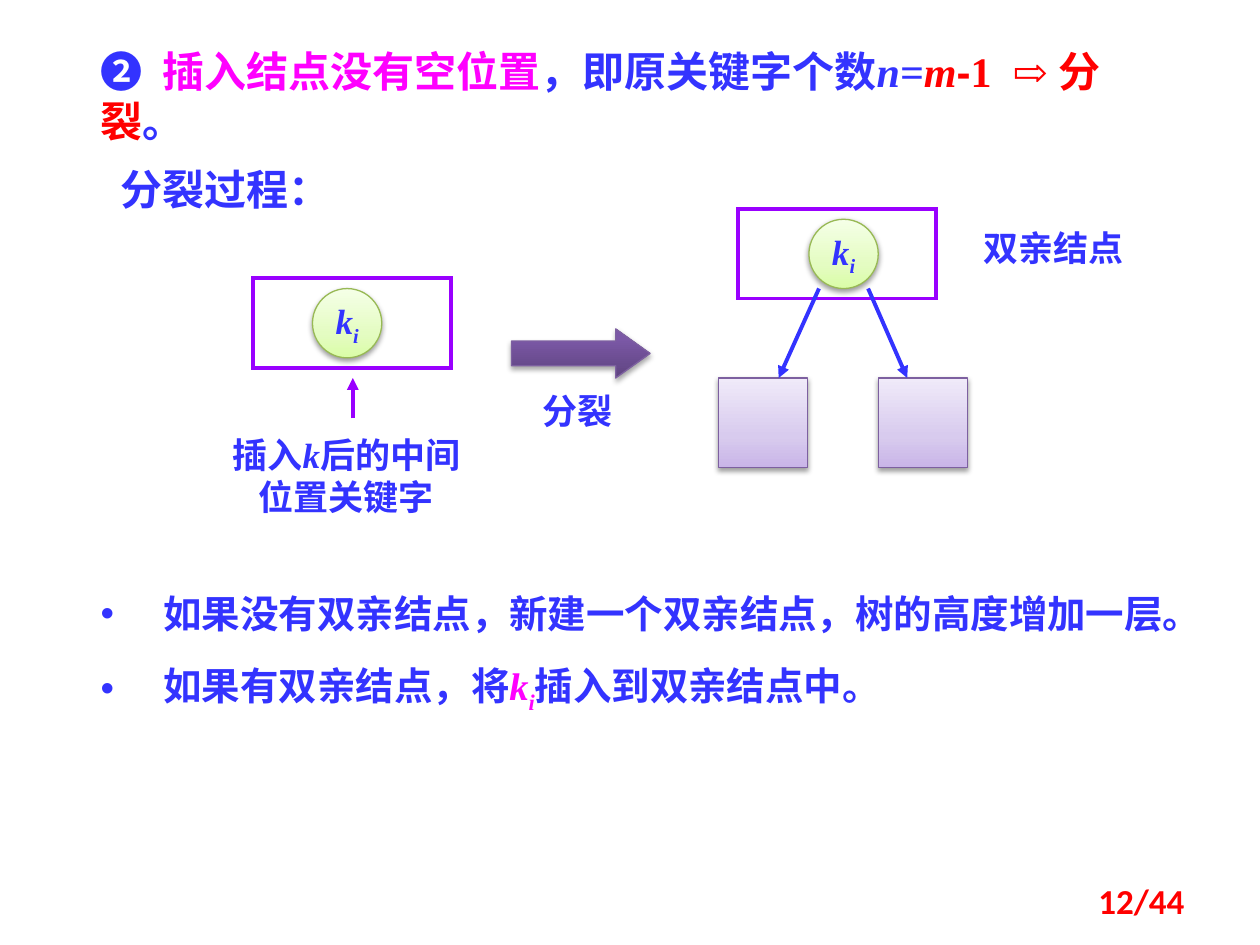
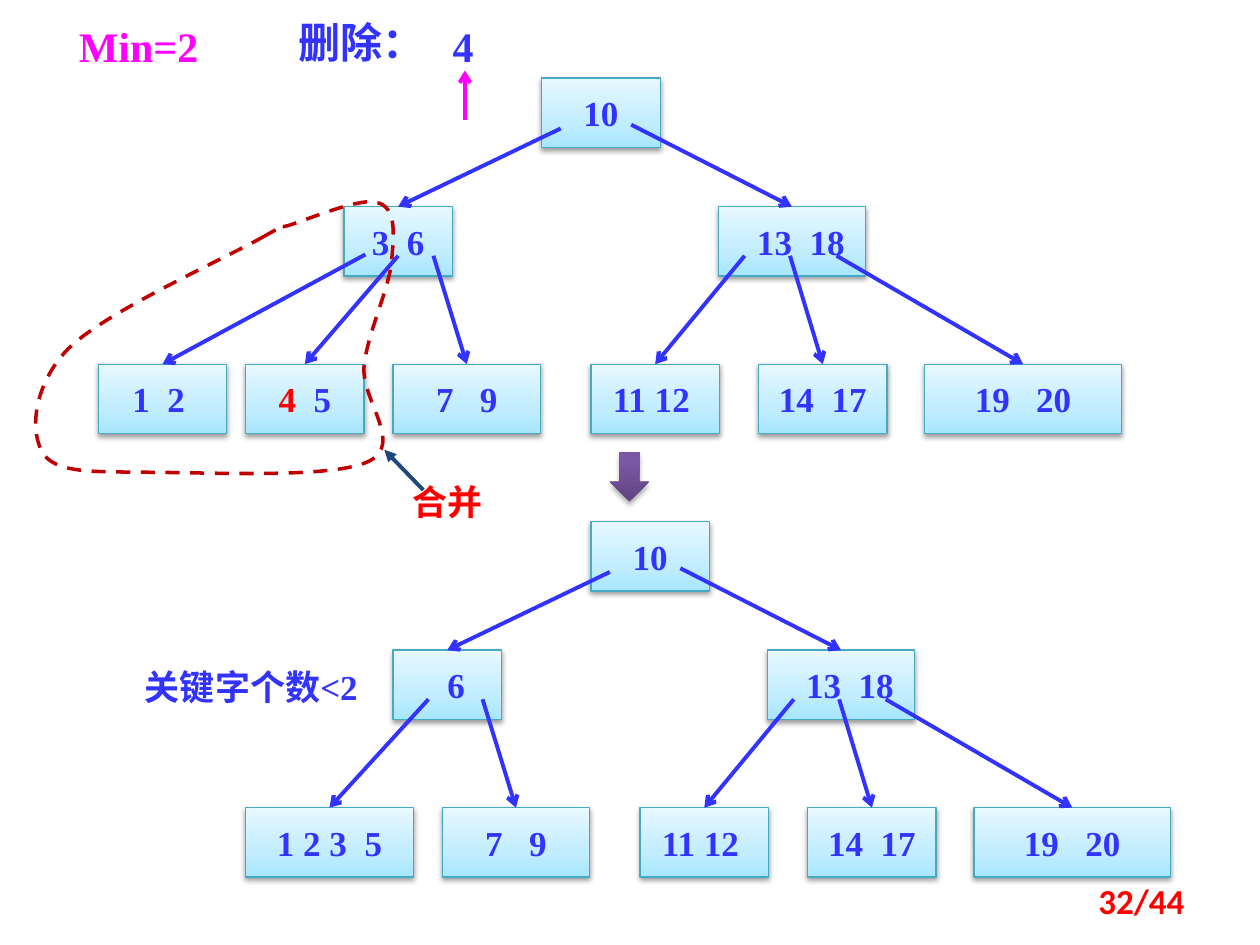
from dataclasses import dataclass
from itertools import groupby

from lxml.etree import SubElement as Sub
from pptx import Presentation
from pptx.dml.color import RGBColor as RGB
from pptx.enum.dml import MSO_LINE
from pptx.enum.shapes import MSO_CONNECTOR as Conn, MSO_SHAPE as Kind
from pptx.enum.text import MSO_ANCHOR as Anchor, PP_ALIGN as Align
from pptx.oxml.ns import qn
from pptx.util import Inches, Pt


# Colours, fonts and type sizes
@dataclass(frozen=True)
class Theme:
    ink: str = "3333FF"
    pink: str = "FF00FF"
    red: str = "FF0000"
    violet: str = "9900FF"
    navy: str = "1F497D"
    wine: str = "C00000"
    white: str = "FFFFFF"
    serif: str = "Times New Roman"
    sans: str = "Arial"
    cjk: str = "Noto Sans CJK SC"
    page: str = "Calibri"
    head: int = 24
    point: int = 22
    body: int = 20
    stroke: float = 2.25
    thin: float = 0.75
    # Gradients run from bottom to top; each has its outline colour
    lime: tuple = (((0, "DAFDA7"), (35, "E4FCC2"), (100, "F5FFE7")), "98B955")
    lilac: tuple = (((0, "C9B5E8"), (35, "D8CBEE"), (100, "F0EAF9")), "7D60A0")
    sky: tuple = (((0, "A7E6FF"), (35, "C1EDFF"), (100, "E7F8FF")), "46AAC5")
    plum: tuple = (((0, "5F4480"), (80, "7B58A6"), (100, "7C57A8")), "7D60A0")


T = Theme()


@dataclass(frozen=True)
class Run:
    text: str
    color: str = T.ink
    italic: bool = False
    sub: bool = False
    font: str = ""


KI = [Run("k", italic=True), Run("i", italic=True, sub=True)]


# Text
def fill_para(para, runs, size, font=T.serif, align=Align.LEFT):
    """Write runs; each "|" widens a gap by one quarter of the type size."""
    para.alignment = align
    for item in [Run(runs)] if isinstance(runs, str) else runs:
        for wide, chars in groupby(item.text, lambda c: c == "|"):
            part = "".join(chars)
            run = para.add_run()
            run.text = " " if wide else part
            face = run.font
            face.size, face.bold, face.italic = Pt(size), True, item.italic
            face.name = item.font or font
            face.color.rgb = RGB.from_string(item.color)
            props = run._r.get_or_add_rPr()
            Sub(props, qn("a:ea")).set("typeface", T.cjk)
            if wide:
                props.set("spc", str(len(part) * size * 25))
            if item.sub:
                props.set("baseline", "-25000")


def label(slide, box, runs, size=T.body, font=T.serif, align=Align.LEFT,
          inset=True, anchor=Anchor.TOP):
    frame = slide.shapes.add_textbox(*map(Inches, box)).text_frame
    frame.word_wrap, frame.vertical_anchor = True, anchor
    if not inset:
        frame.margin_left = frame.margin_right = 0
        frame.margin_top = frame.margin_bottom = 0
    fill_para(frame.paragraphs[0], runs, size, font, align)
    return frame


def bullets(slide, box, items):
    frame = slide.shapes.add_textbox(*map(Inches, box)).text_frame
    frame.word_wrap = True
    for num, runs in enumerate(items):
        para = frame.add_paragraph() if num else frame.paragraphs[0]
        para.line_spacing = 1.5
        props = para._p.get_or_add_pPr()
        props.set("marL", str(Inches(0.5)))
        props.set("indent", str(-Inches(0.5)))
        Sub(props, qn("a:buFont")).set("typeface", T.sans)
        Sub(props, qn("a:buChar")).set("char", "•")
        fill_para(para, runs, T.point)


def page_no(slide, text):
    label(slide, (7.17, 6.95, 2.33, 0.4), [Run(text, T.red)], font=T.page,
          align=Align.RIGHT, anchor=Anchor.MIDDLE)


# Shapes
def outline(shape, color, width):
    shape.line.color.rgb = RGB.from_string(color)
    shape.line.width = Pt(width)


def frame_box(slide, box):
    shape = slide.shapes.add_shape(Kind.RECTANGLE, *map(Inches, box))
    shape.shadow.inherit = False
    shape.fill.solid()
    shape.fill.fore_color.rgb = RGB.from_string(T.white)
    outline(shape, T.violet, T.stroke)
    Sub(shape._element.spPr.find(qn("a:ln")), qn("a:miter"), lim="800000")


def glossy(slide, kind, box, look, alpha=38, dist=1.6):
    """Preset shape with a gradient, a thin outline and a soft shadow."""
    stops, edge = look
    shape = slide.shapes.add_shape(kind, *map(Inches, box))
    shape.fill.gradient()
    shape.fill.gradient_angle = 90
    props = shape._element.spPr
    ramp = props.find(".//" + qn("a:gsLst"))
    ramp.clear()
    for pos, color in stops:
        stop = Sub(ramp, qn("a:gs"), pos=str(pos * 1000))
        Sub(stop, qn("a:srgbClr"), val=color)
    outline(shape, edge, T.thin)
    shape.shadow.inherit = False
    cast = Sub(props.find(qn("a:effectLst")), qn("a:outerShdw"),
               blurRad=str(Pt(3.1)), dist=str(Pt(dist)), dir="5400000",
               rotWithShape="0")
    tint = Sub(cast, qn("a:srgbClr"), val="000000")
    Sub(tint, qn("a:alpha"), val=str(alpha * 1000))
    return shape


def big_arrow(slide, kind, box):
    return glossy(slide, kind, box, T.plum, alpha=35, dist=1.8)


def key_ball(slide, x, y):
    ball = glossy(slide, Kind.OVAL, (x, y, 0.55, 0.55), T.lime)
    frame = ball.text_frame
    frame.word_wrap, frame.vertical_anchor = False, Anchor.MIDDLE
    fill_para(frame.paragraphs[0], KI, T.body, align=Align.CENTER)


def arrow(slide, start, end, color=T.ink, tip="triangle"):
    line = slide.shapes.add_connector(
        Conn.STRAIGHT, *map(Inches, (*start, *end)))
    outline(line, color, T.stroke)
    props = line._element.spPr
    Sub(props.find(qn("a:ln")), qn("a:tailEnd"), type=tip)
    Sub(props, qn("a:effectLst"))
    return line


def curve(slide, start, arcs):
    """Closed dashed outline; each arc is two control points and an end."""
    unit = 100
    spots = [(round(x * unit), round(y * unit)) for arc in arcs for x, y in arc]
    pen = slide.shapes.build_freeform(
        *(round(v * unit) for v in start), scale=Inches(1) / unit)
    pen.add_line_segments(spots, close=True)
    shape = pen.convert_to_shape()
    # Turn every three straight steps into one cubic arc
    steps = list(shape._element.iter(qn("a:lnTo")))
    for first, second, last in zip(steps[::3], steps[1::3], steps[2::3]):
        first.tag_name = None
        track = first.getparent()
        bend = first.makeelement(qn("a:cubicBezTo"))
        first.addprevious(bend)
        for step in (first, second, last):
            bend.append(step[0])
            track.remove(step)
    shape.shadow.inherit = False
    shape.fill.background()
    outline(shape, T.wine, 2)
    shape.line.dash_style = MSO_LINE.DASH


# B-tree: rows of (left, top, width, keys, text shift, arrow start)
ROOT_Y, MID_Y, LEAF_Y, NODE_H = 0.62, 1.64, 2.89, 0.55
RIGHT = [
    (5.7, MID_Y, 1.17, "13|18", 0.07, (5.01, 0.99)),
    (4.69, LEAF_Y, 1.02, "11 12", -0.03, (5.91, 2.03)),
    (6.02, LEAF_Y, 1.02, "14|17", 0, (6.27, 2.03)),
    (7.34, LEAF_Y, 1.56, "19||20", 0, (6.64, 2.03)),
    (3.12, LEAF_Y, 1.17, "7||9", 0, (3.44, 2.03)),
]
BEFORE = [
    (2.73, MID_Y, 0.86, "3|6", 0, (4.45, 1.02)),
    (0.78, LEAF_Y, 1.02, "1|2", -0.03, (2.9, 2.02)),
    (1.95, LEAF_Y, 0.94, [Run("4", T.red), Run("|5")], 0, (3.16, 2.03)),
]
AFTER = [
    (2.73, MID_Y, 0.86, "6", 0.07, (4.45, 1.02)),
    (1.56, LEAF_Y, 1.33, "1 2 3|5", 0, (3.01, 2.03)),
]


def node(slide, x, y, width, keys, shift=0):
    shape = glossy(slide, Kind.RECTANGLE, (x, y, width, NODE_H), T.sky)
    frame = shape.text_frame
    frame.word_wrap, frame.vertical_anchor = True, Anchor.MIDDLE
    frame.margin_left = Inches(0.1 + 2 * max(shift, 0))
    frame.margin_right = Inches(0.1 + 2 * max(-shift, 0))
    fill_para(frame.paragraphs[0], keys, T.body, align=Align.CENTER)
    return shape


def tree(slide, rows, dx=0, dy=0):
    node(slide, 4.3 + dx, ROOT_Y + dy, 0.94, "10")
    for x, y, width, keys, shift, (sx, sy) in rows:
        child = node(slide, x + dx, y + dy, width, keys, shift)
        top = (x + dx + width / 2, y + dy)
        link = arrow(slide, (sx + dx, sy + dy), top, tip="arrow")
        link.end_connect(child, 0)


# Slides
def split_slide(slide):
    title = label(slide, (0.7, 0.31, 8.75, 0.5), [
        Run("❷|"), Run("插入结点没有空位置", T.pink), Run("，即原关键字个数"),
        Run("n=", italic=True), Run("m", T.red, italic=True),
        Run("-", T.red, font=T.sans), Run("1|⇨ 分裂", T.red), Run("。")], T.head)
    title.paragraphs[0]._p.get_or_add_pPr().set("hangingPunct", "0")
    label(slide, (0.86, 1.25, 2.19, 0.5), "分裂过程：", T.head)

    # Node before the split
    frame_box(slide, (2.01, 2.21, 1.57, 0.71))
    key_ball(slide, 2.48, 2.29)
    arrow(slide, (2.8, 3.32), (2.8, 3), T.violet)
    label(slide, (1.61, 3.39, 2.28, 0.77),
          [Run("插入"), Run("k", italic=True), Run("后的中间位置关键字")],
          align=Align.CENTER)

    # Split step
    step = big_arrow(slide, Kind.RIGHT_ARROW, (4.06, 2.61, 1.1, 0.39))
    step.adjustments[1] = 0.7
    label(slide, (4.21, 3.04, 0.94, 0.43), "分裂")

    # Parent and its two halves
    frame_box(slide, (5.86, 1.66, 1.57, 0.71))
    key_ball(slide, 6.42, 1.74)
    for x, sx, ex in ((5.7, 6.5, 6.18), (6.97, 6.89, 7.2)):
        glossy(slide, Kind.RECTANGLE, (x, 3, 0.71, 0.71), T.lilac)
        arrow(slide, (sx, 2.29), (ex, 3))
    label(slide, (7.5, 1.75, 1.72, 0.44), "双亲结点", font=T.cjk,
          align=Align.CENTER)

    bullets(slide, (0.7, 4.45, 8.98, 1.21), [
        "如果没有双亲结点，新建一个双亲结点，树的高度增加一层。",
        [Run("如果有双亲结点，将"), Run("k", T.pink, True),
         Run("i", T.pink, True, True), Run("插入到双亲结点中。")]])
    page_no(slide, "12/44")


def merge_slide(slide):
    mid = Align.CENTER
    label(slide, (0.47, 0.16, 1.26, 0.4), [Run("Min=2", T.pink)], T.head,
          align=mid, inset=False)
    label(slide, (2.27, 0.08, 1.25, 0.5), "删除：", T.head, T.cjk)
    label(slide, (3.44, 0.16, 0.47, 0.4), "4", T.head, align=mid, inset=False)
    arrow(slide, (3.69, 0.95), (3.69, 0.56), T.pink, "arrow")

    # Tree before the merge, with the merged part circled
    tree(slide, BEFORE + RIGHT)
    curve(slide, (2.09, 1.88), [
        ((2.38, 1.72), (2.14, 1.83), (2.29, 1.79)),
        ((2.45, 1.74), (2.87, 1.56), (3, 1.61)),
        ((3.14, 1.65), (3.13, 1.84), (3.11, 2.05)),
        ((3.1, 2.27), (2.92, 2.63), (2.89, 2.9)),
        ((2.86, 3.17), (3.21, 3.52), (2.93, 3.66)),
        ((2.66, 3.8), (1.67, 3.75), (1.24, 3.75)),
        ((0.81, 3.74), (0.47, 3.77), (0.35, 3.61)),
        ((0.23, 3.44), (0.26, 3.06), (0.54, 2.77)),
        ((0.83, 2.48), (1.79, 2.05), (2.09, 1.88))])
    arrow(slide, (3.36, 3.89), (3.05, 3.57), T.navy)
    label(slide, (3.12, 3.81, 0.87, 0.33), [Run("合并", T.red)], font=T.cjk,
          align=mid, inset=False)

    # Tree after the merge
    tree(slide, AFTER + RIGHT, 0.39, 3.52)
    label(slide, (0.94, 5.23, 2.11, 0.44), "关键字个数<2", align=mid)
    down = big_arrow(slide, Kind.DOWN_ARROW, (4.84, 3.59, 0.31, 0.39))
    down.line.fill.background()
    page_no(slide, "32/44")


def main():
    deck = Presentation()
    deck.slide_width, deck.slide_height = Inches(10), Inches(7.5)
    for build in (split_slide, merge_slide):
        build(deck.slides.add_slide(deck.slide_layouts[6]))
    deck.save("out.pptx")


if __name__ == "__main__":
    main()
